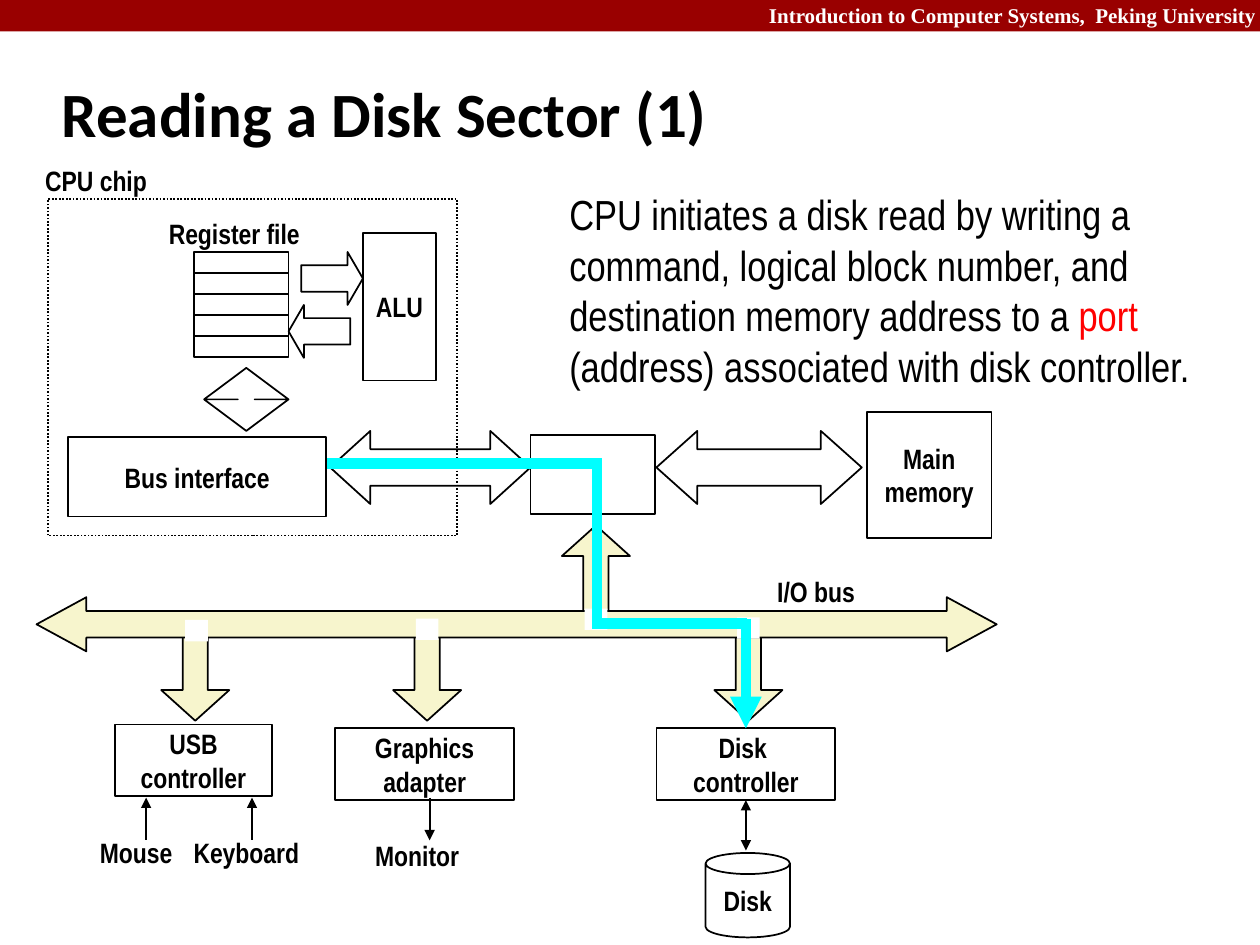
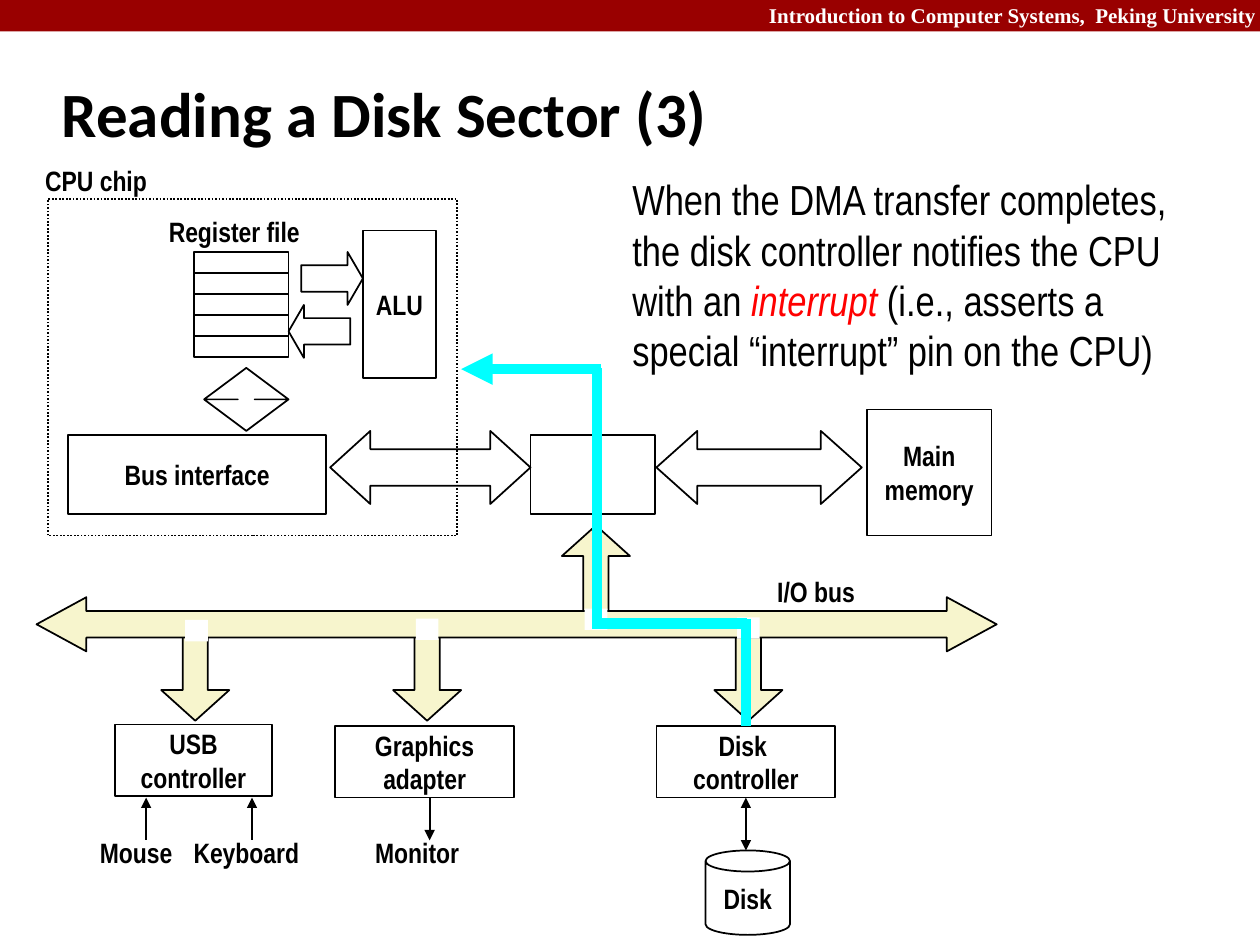
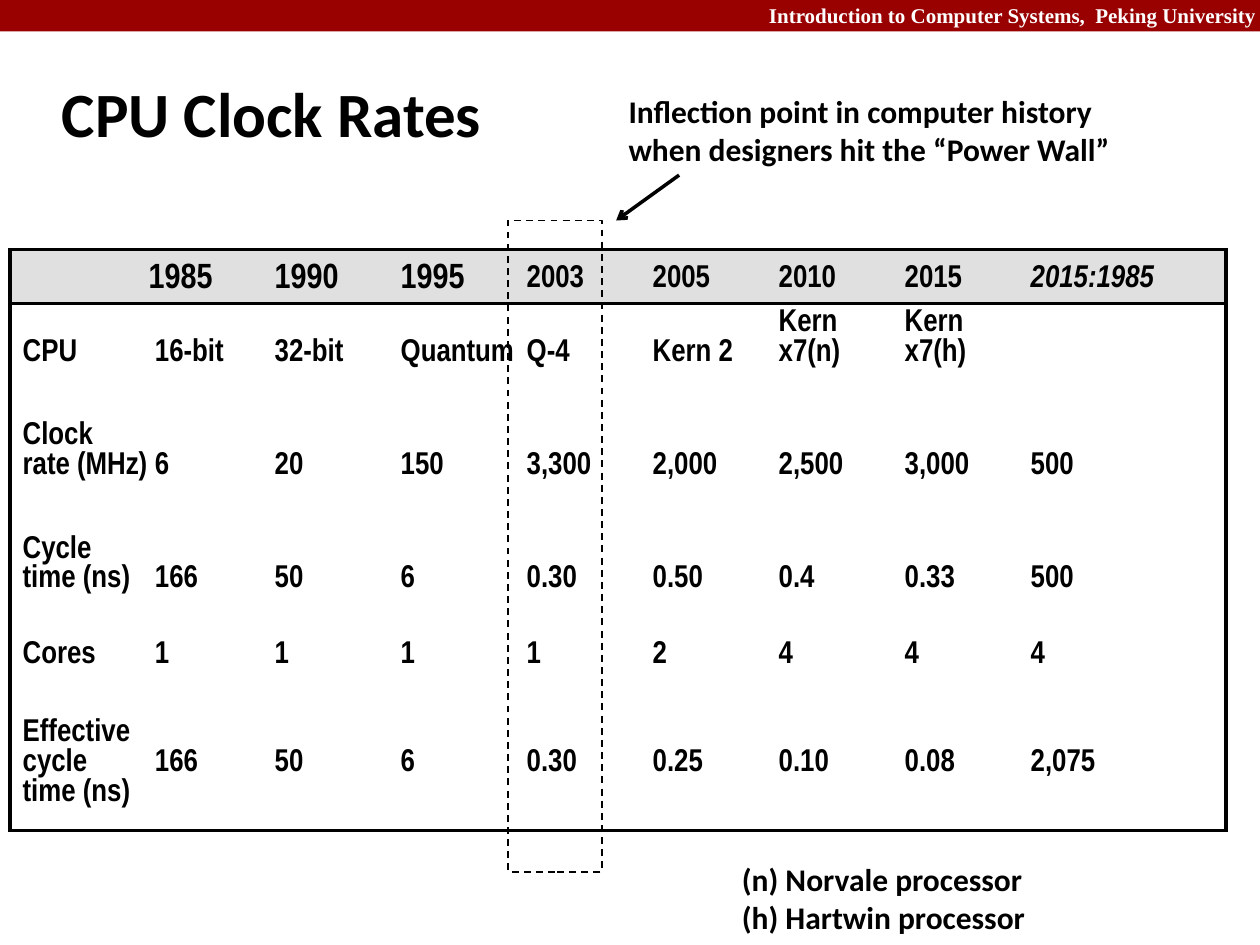
from dataclasses import dataclass
from typing import NamedTuple

from lxml import etree
from pptx import Presentation
from pptx.dml.color import RGBColor
from pptx.enum.dml import MSO_LINE
from pptx.enum.shapes import MSO_CONNECTOR, MSO_SHAPE
from pptx.enum.text import MSO_ANCHOR, MSO_AUTO_SIZE, PP_ALIGN
from pptx.oxml.ns import qn
from pptx.util import Inches, Pt

RECT = MSO_SHAPE.RECTANGLE
RIGHT, LEFT = MSO_SHAPE.RIGHT_ARROW, MSO_SHAPE.LEFT_ARROW
UP, DOWN = MSO_SHAPE.UP_ARROW, MSO_SHAPE.DOWN_ARROW
WIDE, TALL = MSO_SHAPE.LEFT_RIGHT_ARROW, MSO_SHAPE.UP_DOWN_ARROW
CAN = MSO_SHAPE.CAN
STRAIGHT = MSO_CONNECTOR.STRAIGHT
DOTS, DASH = MSO_LINE.ROUND_DOT, MSO_LINE.DASH
START, CENTER, END = PP_ALIGN.LEFT, PP_ALIGN.CENTER, PP_ALIGN.RIGHT
TOP, MIDDLE, BOTTOM = MSO_ANCHOR.TOP, MSO_ANCHOR.MIDDLE, MSO_ANCHOR.BOTTOM
NO_FIT, GROW = MSO_AUTO_SIZE.NONE, MSO_AUTO_SIZE.SHAPE_TO_FIT_TEXT
SIDE_TOP, SIDE_BOTTOM = 0, 2


# Theme
class Type(NamedTuple):
    font: str
    size: float
    bold: bool = True
    color: str = "000000"


@dataclass(frozen=True)
class Theme:
    black: str = "000000"
    white: str = "FFFFFF"
    band: str = "990000"
    bus: str = "F7F5CD"
    flow: str = "00FFFF"
    stress: str = "FF0000"
    header: str = "E0E0E0"
    thin: float = 1
    frame: float = 2.25
    thick: float = 6
    title: Type = Type("Calibri", 36)
    running: Type = Type("Times New Roman", 12, True, "FFFFFF")
    label: Type = Type("Arial Narrow", 16)
    body: Type = Type("Arial Narrow", 24, False)
    year: Type = Type("Arial Narrow", 20)
    cell: Type = Type("Arial Narrow", 18)
    note: Type = Type("Calibri", 18)


THEME = Theme()


# Element records
class Box(NamedTuple):
    x: float
    y: float
    w: float
    h: float
    text: str = ""
    kind: int = RECT
    adj: tuple = ()
    fill: str = ""
    line: str = THEME.black
    dash: int | None = None
    moves: bool = False


class Label(NamedTuple):
    x: float
    y: float
    w: float
    h: float
    text: str
    align: int = CENTER
    moves: bool = False


class Wire(NamedTuple):
    x1: float
    y1: float
    x2: float
    y2: float
    head: str = ""
    tail: str = ""
    color: str = THEME.black
    width: float = THEME.thin


class Span(NamedTuple):
    text: str
    color: str = THEME.black
    italic: bool = False


class Story(NamedTuple):
    title: str
    drop: float
    place: tuple
    spans: list
    flow: list
    tip: str


# Drawing helpers
def style(frame, look: Type, align=START) -> None:
    for para in frame.paragraphs:
        para.alignment = align
        for run in para.runs:
            run.font.name, run.font.size = look.font, Pt(look.size)
            run.font.bold = look.bold
            run.font.color.rgb = RGBColor.from_string(look.color)


def place(item) -> tuple:
    return tuple(Inches(side) for side in item[:4])


def draw_box(slide, box: Box, drop: float = 0):
    if box.moves:
        box = box._replace(y=box.y + drop)
    shape = slide.shapes.add_shape(box.kind, *place(box))
    shape.shadow.inherit = False
    for i, value in enumerate(box.adj):
        shape.adjustments[i] = value
    if box.fill:
        shape.fill.solid()
        shape.fill.fore_color.rgb = RGBColor.from_string(box.fill)
    else:
        shape.fill.background()
    if box.line:
        shape.line.color.rgb = RGBColor.from_string(box.line)
        shape.line.width = Pt(THEME.thin)
        if box.dash:
            shape.line.dash_style = box.dash
    else:
        shape.line.fill.background()
    if box.text:
        frame = shape.text_frame
        frame.text = box.text
        frame.word_wrap, frame.vertical_anchor = False, MIDDLE
        style(frame, THEME.label, CENTER)
    return shape


def draw_text(slide, label: Label, look: Type, wrap=False, anchor=TOP):
    shape = slide.shapes.add_textbox(*place(label))
    frame = shape.text_frame
    frame.text = label.text
    frame.word_wrap, frame.auto_size = wrap, GROW
    frame.vertical_anchor = anchor
    style(frame, look, label.align)
    return shape


def draw_wire(slide, wire: Wire):
    line = slide.shapes.add_connector(STRAIGHT, *place(wire))
    line.line.color.rgb = RGBColor.from_string(wire.color)
    line.line.width = Pt(wire.width)
    props = line.element.spPr
    ends = (("a:headEnd", wire.head), ("a:tailEnd", wire.tail))
    for tag, kind in ends:
        if kind:
            etree.SubElement(props.find(qn("a:ln")), qn(tag), type=kind)
    etree.SubElement(props, qn("a:effectLst"))
    return line


def add_slide(deck, title: str):
    slide = deck.slides.add_slide(deck.slide_layouts[5])
    shape = slide.shapes.title
    shape.left, shape.top, shape.width, shape.height = place((0.39, 0.48, 8.3, 0.83))
    frame = shape.text_frame
    frame.text = title
    frame.word_wrap, frame.auto_size = True, NO_FIT
    frame.vertical_anchor = MIDDLE
    style(frame, THEME.title)
    return slide


def add_band(deck, slide) -> None:
    """Draw the top band and move it to the shared layout."""
    band = draw_box(slide, Box(0, 0, 10, 0.25, fill=THEME.band, line=""))
    name = Label(6, -0.03, 4.07, 0.3,
                 "Introduction to Computer Systems,  Peking University ", END)
    text = draw_text(slide, name, THEME.running, wrap=True)
    tree = deck.slide_layouts[5].shapes.element
    for shape in (band, text):
        tree.append(shape.element)


# Computer diagram
STEM = (0.37, 0.45)
HEAD = (0.5, 0.29)
DISK, CARD = "Disk \ncontroller", "Graphics\nadapter"
BOXES = [
    Box(6.88, 3.25, 0.99, 1, "Main\nmemory", moves=True),
    Box(5.21, 3.42, 1.63, 0.58, kind=WIDE, adj=(0.5, 0.56)),
    Box(4.21, 3.45, 0.99, 0.63),
    Box(2.62, 3.42, 1.59, 0.58, kind=WIDE, adj=(0.5, 0.55)),
    *[Box(1.54, 2 + i / 6, 0.75, 1 / 6) for i in range(5)],
    Box(2.39, 2, 0.49, 0.42, kind=RIGHT, adj=HEAD),
    Box(2.29, 2.42, 0.49, 0.42, kind=LEFT, adj=HEAD),
    Box(2.88, 1.83, 0.58, 1.17, "ALU", moves=True),
    Box(1.62, 2.92, 0.67, 0.5, kind=TALL, adj=(0.5, 0.2)),
    Box(0.38, 1.58, 3.25, 2.67, dash=DOTS),
    Box(4.46, 4.17, 0.54, 0.75, kind=UP, adj=STEM, fill=THEME.bus),
    *[Box(x, 4.97, 0.54, 0.75, kind=DOWN, adj=STEM, fill=THEME.bus)
      for x in (1.28, 3.12, 5.67)],
    Box(5.21, 5.76, 1.42, 0.57, DISK, moves=True),
    Box(2.66, 5.76, 1.42, 0.57, CARD, moves=True),
    Box(0.91, 5.75, 1.25, 0.57, "USB\ncontroller"),
    Box(5.6, 6.75, 0.67, 0.67, "Disk", CAN, (0.25,), moves=True),
    Box(0.29, 4.74, 7.62, 0.43, kind=WIDE, adj=(0.49, 0.92), fill=THEME.bus),
    *[Box(x, y, 0.18, 0.17, fill=THEME.white, line="")
      for x, y in ((1.47, 4.92), (3.3, 4.91), (5.85, 4.9), (4.64, 4.83))],
]
BUS_PORT = Box(0.54, 3.45, 2.05, 0.63, "Bus interface", moves=True)
LABELS = [
    Label(1.23, 1.65, 1.26, 0.37, "Register file", moves=True),
    Label(0.26, 1.25, 1.19, 0.37, "CPU chip", START),
    Label(2.87, 6.58, 0.88, 0.37, "Monitor", moves=True),
    Label(6.07, 4.51, 0.96, 0.37, "I/O bus", START),
    Label(0.69, 6.58, 0.78, 0.37, "Mouse"),
    Label(1.43, 6.58, 1.05, 0.37, "Keyboard"),
]
WIRES = [
    Wire(3.41, 6.33, 3.41, 6.67, tail="triangle"),
    Wire(1.16, 6.33, 1.16, 6.67, head="triangle"),
    Wire(2, 6.33, 2, 6.67, head="triangle"),
]
DISK_WIRE = Wire(5.92, 6.33, 5.92, 6.75, "triangle", "triangle")


def flow(x1, y1, x2, y2, tail="") -> Wire:
    return Wire(x1, y1, x2, y2, tail=tail, color=THEME.flow, width=THEME.thick)


ALONG = flow(4.7, 4.95, 5.93, 4.95)
STORIES = [
    Story("Reading a Disk Sector (1)", 0.02, (4.42, 1.45, 5.33, 1.72),
          [Span("CPU initiates a disk read by writing a command, logical block "
                "number, and destination memory address to a "),
           Span("port ", THEME.stress),
           Span("(address) associated with disk controller.")],
          [flow(2.58, 3.68, 4.78, 3.68), flow(4.74, 3.68, 4.74, 4.92), ALONG],
          "triangle"),
    Story("Reading a Disk Sector (3)", 0, (4.92, 1.33, 4.75, 1.72),
          [Span("When the DMA transfer completes, the disk controller notifies "
                "the CPU with an "),
           Span("interrupt", THEME.stress, True),
           Span(" (i.e., asserts a special “interrupt” pin on the CPU)")],
          [flow(4.77, 2.93, 3.66, 2.93, "triangle"),
           flow(4.74, 2.92, 4.74, 4.92), ALONG],
          ""),
]


def draw_story(slide, story: Story) -> None:
    named = {}
    for box in BOXES:
        named[box.text] = draw_box(slide, box, story.drop)
    for label in LABELS:
        if label.moves:
            label = label._replace(y=label.y + story.drop)
        draw_text(slide, label, THEME.label, anchor=MIDDLE)
    for wire in WIRES:
        draw_wire(slide, wire)
    draw_wire(slide, DISK_WIRE).begin_connect(named[DISK], SIDE_BOTTOM)

    # Signal path, ending at the disk controller
    for wire in story.flow:
        draw_wire(slide, wire)
    last = draw_wire(slide, flow(5.92, 4.91, 5.92, 5.76, story.tip))
    last.end_connect(named[DISK], SIDE_TOP)
    draw_box(slide, BUS_PORT, story.drop)

    # Explanation
    shape = draw_text(slide, Label(*story.place, "", START), THEME.body, wrap=True)
    frame = shape.text_frame
    for span in story.spans:
        frame.paragraphs[0].add_run().text = span.text
    style(frame, THEME.body)
    for run, span in zip(frame.paragraphs[0].runs, story.spans):
        run.font.color.rgb = RGBColor.from_string(span.color)
        run.font.italic = span.italic


# Clock rate table
ROWS = [
    ["", "1985", "1990", "1995", "2003", "2005", "2010", "2015", "2015:1985"],
    ["CPU", "16-bit", "32-bit", "Quantum", "Q-4", "Kern 2", "Kern x7(n)",
     "Kern x7(h)", ""],
    ["Clock\nrate (MHz)", "6", "20", "150", "3,300", "2,000", "2,500", "3,000", "500"],
    ["Cycle\ntime (ns)", "166", "50", "6", "0.30", "0.50", "0.4", "0.33", "500"],
    ["Cores", "1", "1", "1", "1", "2", "4", "4", "4"],
    ["Effective\ncycle\ntime (ns)", "166", "50", "6", "0.30", "0.25", "0.10",
     "0.08", "2,075"],
]
WIDTHS = [1.1] + [1] * 7 + [1.55]
HEIGHTS = [0.43, 0.51, 0.9, 0.9, 0.6, 1.27]


def set_edges(cell, edges: dict) -> None:
    props = cell._tc.get_or_add_tcPr()
    for i, (tag, shown) in enumerate(edges.items()):
        edge = etree.Element(qn(tag), w=str(Pt(THEME.frame)))
        props.insert(i, edge)
        if shown:
            fill = etree.SubElement(edge, qn("a:solidFill"))
            etree.SubElement(fill, qn("a:srgbClr"), val=THEME.black)
        else:
            etree.SubElement(edge, qn("a:noFill"))


def draw_table(slide) -> None:
    size = place((0.08, 1.98, sum(WIDTHS), sum(HEIGHTS)))
    table = slide.shapes.add_table(len(ROWS), len(WIDTHS), *size).table
    table.first_row = table.horz_banding = False
    for column, width in zip(table.columns, WIDTHS):
        column.width = Inches(width)
    for row, height in zip(table.rows, HEIGHTS):
        row.height = Inches(height)
    end, side = len(ROWS) - 1, len(WIDTHS) - 1
    for r, row in enumerate(ROWS):
        for c, text in enumerate(row):
            cell = table.cell(r, c)
            cell.text = text
            look = THEME.year if r == 0 and c < 4 else THEME.cell
            style(cell.text_frame, look)
            if r == 0 and c == side:
                cell.text_frame.paragraphs[0].runs[0].font.italic = True
            inset = 0.1 if c == 0 else 0.05 if c == 1 and r else 0
            cell.margin_left, cell.margin_right = Inches(inset), 0
            cell.margin_top = Inches(0.25 if r == end else 0.04 if r == 0 else 0)
            cell.margin_bottom = Inches(0.04 if r == end else 0)
            cell.vertical_anchor = MIDDLE if r in (0, end) else BOTTOM
            if r == 0:
                cell.fill.solid()
                cell.fill.fore_color.rgb = RGBColor.from_string(THEME.header)
            else:
                cell.fill.background()
            set_edges(cell, {"a:lnL": c == 0, "a:lnR": c == side,
                             "a:lnT": r < 2, "a:lnB": r in (0, end)})


def draw_rates(slide) -> None:
    draw_table(slide)
    notes = [
        Label(4.89, 0.68, 4.06, 0.71, "Inflection point in computer history\n"
              "when designers hit the “Power Wall”", START),
        Label(5.79, 6.78, 2.58, 0.71,
              "(n) Norvale processor\n(h) Hartwin processor", START),
    ]
    for note in notes:
        draw_text(slide, note, THEME.note)
    draw_wire(slide, Wire(5.39, 1.39, 4.89, 1.75, tail="arrow", width=2))
    draw_box(slide, Box(4.03, 1.75, 0.75, 5.17, dash=DASH))


def main() -> None:
    deck = Presentation()
    deck.slide_width, deck.slide_height = Inches(10), Inches(7.5)
    for story in STORIES:
        draw_story(add_slide(deck, story.title), story)
    rates = add_slide(deck, "CPU Clock Rates")
    draw_rates(rates)
    add_band(deck, rates)
    deck.save("out.pptx")


if __name__ == "__main__":
    main()
